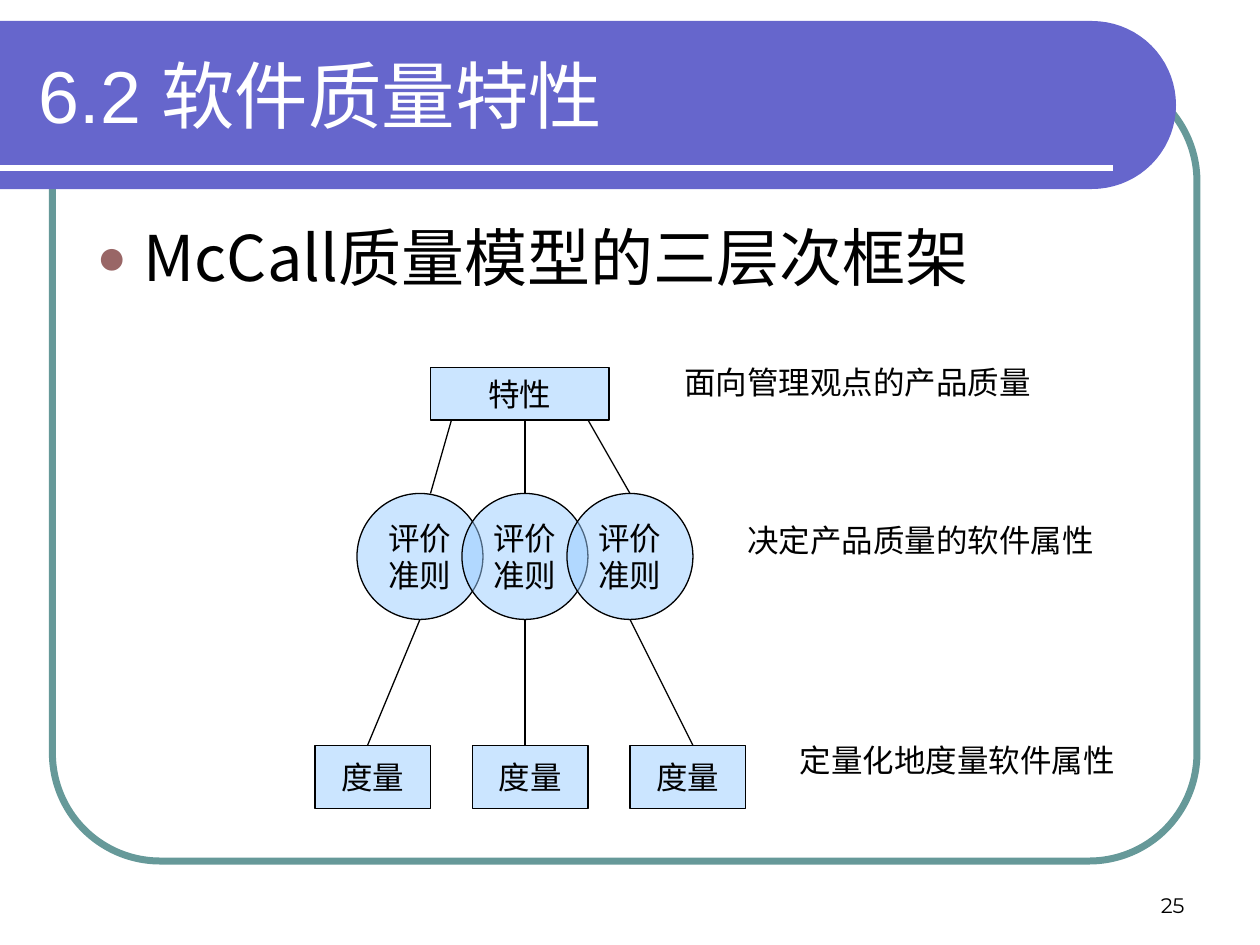
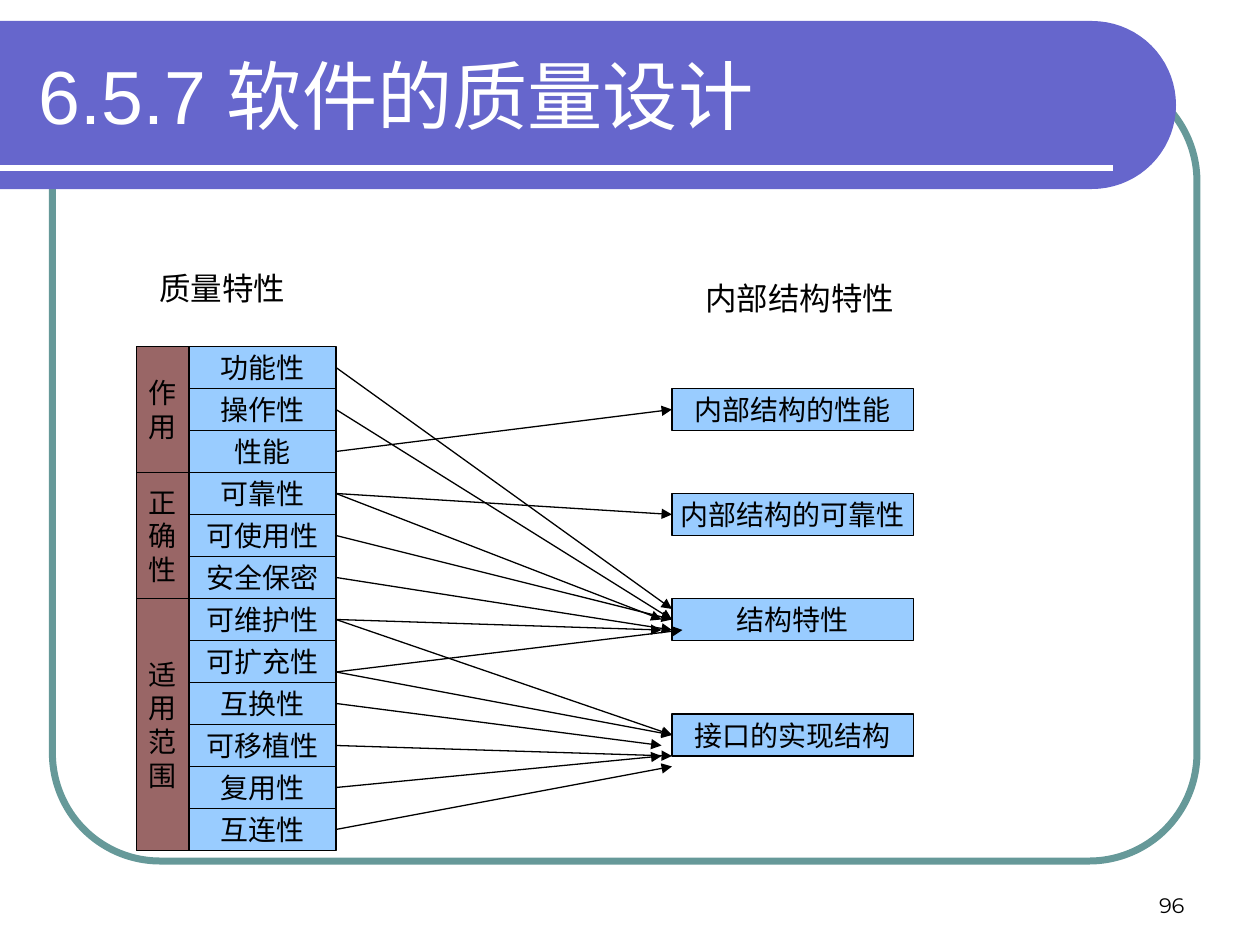
"""Build two slides on software quality: the three-layer model and the design map."""
import math

import lxml.etree
import pptx
import pptx.dml.color
import pptx.enum.shapes
import pptx.enum.text
import pptx.oxml.ns
import pptx.util

Cm, Pt = pptx.util.Cm, pptx.util.Pt
qn, sub = pptx.oxml.ns.qn, lxml.etree.SubElement
rgb = pptx.dml.color.RGBColor.from_string
kinds = pptx.enum.shapes.MSO_SHAPE
align = pptx.enum.text.PP_ALIGN
anchor = pptx.enum.text.MSO_ANCHOR

hues = {"band": "6666CC", "frame": "669999", "box": "99CCFF", "side": "996666",
        "black": "000000", "white": "FFFFFF"}
cjk = "Noto Sans CJK SC"
grid = 2.54 / 12  # cm per grid step


def put(text, at, page=None, kind=None, hold=None, size=18, font="Arial", ink="black",
        fill=None, alpha=None, line="black", width=0.75, side=align.LEFT,
        stand=anchor.TOP, wrap=True):
    """Place text in a placeholder, a preset shape or a text box."""
    spot = [Cm(grid * n) for n in at]
    if hold is not None:
        item = hold
        item.left, item.top, item.width, item.height = spot
    elif kind is not None:
        item = page.shapes.add_shape(kind, *spot)
        item.shadow.inherit = False
        item.line.color.rgb = rgb(hues[line])
        item.line.width = Pt(width)
        if fill:
            item.fill.solid()
            item.fill.fore_color.rgb = rgb(hues[fill])
        else:
            item.fill.background()
        if alpha:
            tint = item.element.spPr.find(qn("a:solidFill"))[0]
            sub(tint, qn("a:alpha")).set("val", str(alpha * 1000))
    else:
        item = page.shapes.add_textbox(*spot)
    frame = item.text_frame
    frame.text = text
    frame.word_wrap = wrap
    frame.auto_size = pptx.enum.text.MSO_AUTO_SIZE.NONE
    frame.vertical_anchor = stand
    for para in frame.paragraphs:
        para.alignment = side
        for run in para.runs:
            run.font.size = Pt(size)
            run.font.name = font
            run.font.color.rgb = rgb(hues[ink])
            sub(run.font._element, qn("a:ea")).set("typeface", cjk)
    return item


def link(page, ends, line="black", width=0.75, arrow=False, start=None, goal=None):
    """Draw a straight line, joined to the boxes that are given."""
    wire = page.shapes.add_connector(pptx.enum.shapes.MSO_CONNECTOR.STRAIGHT,
                                     *[Cm(grid * n) for n in ends])
    if start is not None:
        wire.begin_connect(start, 3)
    if goal is not None:
        wire.end_connect(goal, 1)
    wire.line.color.rgb = rgb(hues[line])
    wire.line.width = Pt(width)
    if arrow:
        sub(wire.element.spPr.find(qn("a:ln")), qn("a:tailEnd")).set("type", "triangle")
    sub(wire.element.spPr, qn("a:effectLst"))
    return wire


deck = pptx.Presentation()
deck.slide_width, deck.slide_height = Cm(25.4), Cm(19.05)
model = deck.slides.add_slide(deck.slide_layouts[1])
design = deck.slides.add_slide(deck.slide_layouts[5])

# Shared frame, band and rule go to the slide master.
frame = put("", (5, 7, 109, 75), model, kinds.ROUNDED_RECTANGLE, line="frame", width=4)
frame.adjustments[0] = 0.137
step = grid * 1000
turns = [math.radians(deg) for deg in range(-90, 91, 5)]
curve = [((104 + 8 * math.cos(t)) * step, (10 + 8 * math.sin(t)) * step) for t in turns]
path = model.shapes.build_freeform(0, 2 * step, scale=Cm(0.001))
path.add_line_segments(curve + [(0, 18 * step)], close=True)
band = path.convert_to_shape()
band.shadow.inherit = False
band.fill.solid()
band.fill.fore_color.rgb = rgb(hues["band"])
band.line.fill.background()
rule = link(model, (0, 16, 106, 16), line="white", width=3)
for n, part in enumerate((frame, band, rule)):
    part.element.xpath(".//p:cNvPr")[0].set("id", str(90 + n))
    deck.slide_master.shapes.element.insert(2 + n, part.element)

heads = ((model, "6.2 软件质量特性", 42, "25"), (design, "6.5.7 软件的质量设计", 43, "96"))
for page, title, size, count in heads:
    put(title, (2.5, 3, 105.25, 12), hold=page.shapes.title, size=size, ink="white",
        stand=anchor.MIDDLE)
    put(count, (86, 82, 28, 6), page, size=12, font="Montserrat", side=align.RIGHT,
        stand=anchor.BOTTOM)

# Three-layer model
body = put("McCall质量模型的三层次框架", (8, 21, 104, 8.75), hold=model.placeholders[1],
           size=36, font=cjk)
para = body.text_frame.paragraphs[0]
para.line_spacing = 0.9
props = para._p.get_or_add_pPr()
props.set("marL", str(Cm(0.95)))
props.set("indent", str(-Cm(0.95)))
sub(sub(props, qn("a:buClr")), qn("a:srgbClr")).set("val", hues["side"])
sub(props, qn("a:buSzPct")).set("val", "80000")
sub(props, qn("a:buFont")).set("typeface", "Arial")
sub(props, qn("a:buChar")).set("char", "●")

mid = {"side": align.CENTER, "stand": anchor.MIDDLE, "wrap": False, "fill": "box"}
put("特性", (41, 35, 17, 5), model, kinds.RECTANGLE, alpha=50, **mid)
for n in range(3):
    put("评价\n准则", (34 + 10 * n, 47, 12, 12), model, kinds.OVAL, alpha=50, **mid)
for n in range(3):
    put("度量", (30 + 15 * n, 71, 11, 6), model, kinds.RECTANGLE, alpha=50, **mid)
for top, high, low, foot in ((43, 41, 40, 35), (50, 50, 50, 50), (56, 60, 60, 66)):
    link(model, (top, 40, high, 47))
    link(model, (low, 59, foot, 71))
for text, left, top, wide in (("面向管理观点的产品质量", 64, 34, 44),
                              ("决定产品质量的软件属性", 70, 49, 38),
                              ("定量化地度量软件属性", 75, 70, 34)):
    put(text, (left, top, wide, 4.8), model)

# Design map
traits = ("功能性", "操作性", "性能", "可靠性", "可使用性", "安全保密", "可维护性",
          "可扩充性", "互换性", "可移植性", "复用性", "互连性")
rows = [put(text, (18, 33 + 4 * n, 14, 4), design, kinds.RECTANGLE, size=16, **mid)
        for n, text in enumerate(traits)]
for text, top, tall in (("作用", 33, 12), ("正确性", 45, 12), ("适用范围", 57, 24)):
    put("\n".join(text), (13, top, 5, tall), design, kinds.RECTANGLE, size=16,
        **{**mid, "fill": "side"})
put("质量特性", (14, 25, 16, 4.8), design)
put("内部结构特性", (66, 26, 21, 4.8), design)
goals = {}
for text, top in (("内部结构的性能", 37), ("内部结构的可靠性", 47),
                  ("结构特性", 57), ("接口的实现结构", 68)):
    goals[64, top + 2] = put(text, (64, top, 23, 4), design, kinds.RECTANGLE, size=16, **mid)

tips = ((2, 64, 39), (3, 64, 49), (0, 64, 58), (1, 64, 59), (3, 63, 59), (4, 64, 59),
        (5, 64, 60), (6, 63, 60), (7, 65, 60), (6, 64, 70), (7, 64, 70), (8, 63, 71),
        (9, 64, 72), (10, 63, 72), (11, 64, 73))
for row, x, y in tips:
    low = row == 7
    link(design, (32, 64 if low else 35 + 4 * row, x, y), arrow=True,
         start=None if low else rows[row], goal=goals.get((x, y)))

deck.save("out.pptx")
